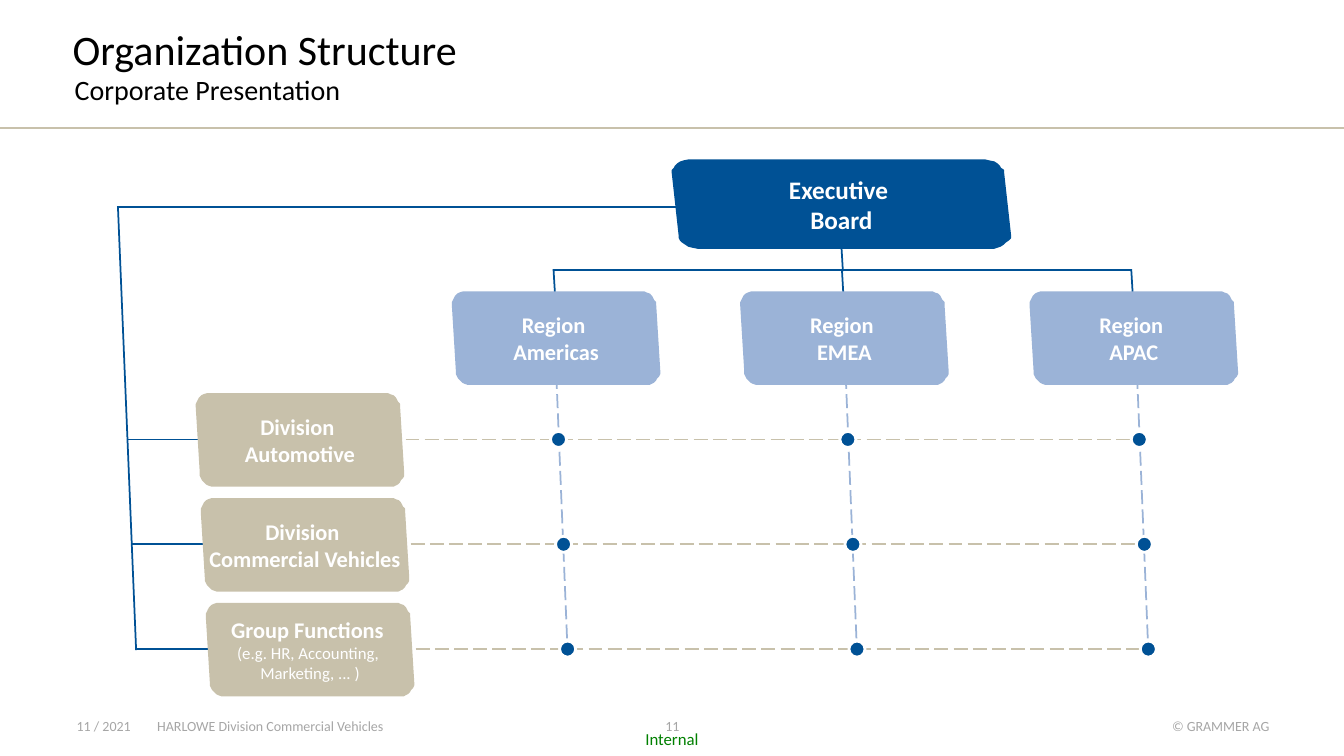
from lxml import etree
from pptx import Presentation
from pptx.dml.color import RGBColor
from pptx.enum.dml import MSO_LINE
from pptx.enum.shapes import MSO_CONNECTOR, MSO_SHAPE
from pptx.enum.text import MSO_ANCHOR, MSO_AUTO_SIZE, PP_ALIGN
from pptx.oxml.ns import qn
from pptx.util import Pt

PX = 9144
FONT = "Calibri"
BLUE = RGBColor(0x00, 0x51, 0x95)
LIGHT_BLUE = RGBColor(0x9B, 0xB3, 0xD7)
SAND = RGBColor(0xC8, 0xC1, 0xAB)
GREY = RGBColor(0xA6, 0xA6, 0xA6)
GREEN = RGBColor(0x00, 0x80, 0x00)
WHITE = RGBColor(0xFF, 0xFF, 0xFF)
BLACK = RGBColor(0x00, 0x00, 0x00)
LEFT, CENTER, RIGHT = PP_ALIGN.LEFT, PP_ALIGN.CENTER, PP_ALIGN.RIGHT
TOP, MIDDLE, BOTTOM = MSO_ANCHOR.TOP, MSO_ANCHOR.MIDDLE, MSO_ANCHOR.BOTTOM
LONG_DASH = MSO_LINE.LONG_DASH

BLOCK_W, BLOCK_H = 205, 91
BLOCK_OUTLINE = [
    (12, 0), (10, 0), (7, 1), (5, 2), (3, 4), (2, 6), (1, 8), (0, 10), (0, 13),
    (4, 78), (4, 81), (5, 83), (6, 85), (8, 87), (10, 89), (12, 90), (15, 91), (17, 91),
    (192, 91), (195, 91), (197, 90), (199, 89), (201, 87), (202, 85), (204, 83),
    (205, 81), (205, 78),
    (201, 13), (201, 10), (199, 8), (198, 6), (197, 4), (195, 2), (192, 1),
    (190, 0), (187, 0),
]
REGIONS = [("Americas", 449, 546), ("EMEA", 735, 833), ("APAC", 1022, 1122)]
REGION_TOP = 290
DIVISIONS = [
    [("Division ", 16, True), ("Automotive", 16, True)],
    [("Division ", 16, True), ("Commercial Vehicles", 16, True)],
    [("Group Functions ", 16, True), ("(e.g. HR, Accounting, ", 12, False),
     ("Marketing, ... )", 12, False)],
]
DIVISION_LEFT, DIVISION_TOP = 195, 391
DIVISION_STEP_X, DIVISION_STEP_Y = 5, 104
TRUNK_X = (127, 130, 134)
DOT_SHIFT = (0, 5, 9)
DOT = 16


def px(*values):
    return [v * PX for v in values]


def add_run(p, text, size, color, bold=False):
    r = p.add_run()
    r.text = text
    r.font.name = FONT
    r.font.size = Pt(size)
    r.font.bold = bold
    r.font.color.rgb = color


def set_text(sp, text, size, color, align, anchor, spacing=1.0):
    tf = sp.text_frame
    tf.word_wrap = True
    tf.auto_size = MSO_AUTO_SIZE.NONE
    tf.vertical_anchor = anchor
    tf.margin_left = tf.margin_top = tf.margin_right = tf.margin_bottom = 0
    p = tf.paragraphs[0]
    p.alignment = align
    p.line_spacing = spacing
    p.space_before = Pt(0)
    add_run(p, text, size, color)


def add_line(s, x1, y1, x2, y2, color, width=1.25, dash=None):
    c = s.shapes.add_connector(MSO_CONNECTOR.STRAIGHT, *px(x1, y1, x2, y2))
    c.line.color.rgb = color
    c.line.width = Pt(width)
    if dash:
        c.line.dash_style = dash
    etree.SubElement(c._element.spPr, qn("a:effectLst"))


def add_block(s, x, y, w, h, color, lines):
    pts = [(x + round(a * w / BLOCK_W), y + round(b * h / BLOCK_H)) for a, b in BLOCK_OUTLINE]
    fb = s.shapes.build_freeform(*pts[0], scale=PX)
    fb.add_line_segments(pts[1:], close=True)
    sp = fb.convert_to_shape()
    sp.shadow.inherit = False
    sp.fill.solid()
    sp.fill.fore_color.rgb = color
    sp.line.color.rgb = color
    sp.line.width = Pt(1.25)
    tf = sp.text_frame
    tf.word_wrap = False
    tf.vertical_anchor = MIDDLE
    p = tf.paragraphs[0]
    p.alignment = CENTER
    for i, (text, size, bold) in enumerate(lines):
        if i:
            p.add_line_break()
        add_run(p, text, size, WHITE, bold)


def add_dot(s, x, y):
    sp = s.shapes.add_shape(MSO_SHAPE.OVAL, *px(x, y, DOT, DOT))
    sp.shadow.inherit = False
    sp.fill.solid()
    sp.fill.fore_color.rgb = BLUE
    sp.line.color.rgb = WHITE
    sp.line.width = Pt(2)


def add_header(s, x, y, w):
    title, body = s.shapes.title, s.placeholders[1]
    title.left, title.top, title.width, title.height = px(x, y, w, 47)
    set_text(title, "Organization Structure", 30, BLACK, LEFT, BOTTOM, 0.9)
    body.left, body.top, body.width, body.height = px(x + 2, y + 49, w - 1, 27)
    pPr = body.text_frame.paragraphs[0]._p.get_or_add_pPr()
    pPr.set("marL", "0")
    pPr.set("indent", "0")
    etree.SubElement(pPr, qn("a:buNone"))
    set_text(body, "Corporate Presentation", 20, BLACK, LEFT, TOP, 0.9)
    add_line(s, 0, y + 100, 1333, y + 100, SAND, 1)


def add_footer(s, y):
    for x, dy, w, h, text, size, color, align, anchor, spacing in (
        (76, 0, 71, 16, "11 / 2021", 10, GREY, LEFT, BOTTOM, 1.0),
        (156, 0, 364, 16, "HARLOWE Division Commercial Vehicles", 10, GREY, LEFT, BOTTOM, 1.0),
        (645, 0, 44, 16, "11", 10, GREY, CENTER, BOTTOM, 1.0),
        (1158, 0, 101, 16, "© GRAMMER AG", 10, GREY, RIGHT, BOTTOM, 1.0),
        (623, 5, 87, 32, "Internal", 12, GREEN, CENTER, MIDDLE, 0.9),
    ):
        tb = s.shapes.add_textbox(*px(x, y + dy, w, h))
        set_text(tb, text, size, color, align, anchor, spacing)


def add_board(s, x, y, w, h):
    add_line(s, x + 167, y + 76, x + 169, y + 110, BLUE)
    add_line(s, 116, y + 46, x + 68, y + 46, BLUE)
    add_line(s, 117, y + 46, 135, y + 486, BLUE)
    add_line(s, REGIONS[0][1] + 100, y + 109, REGIONS[-1][1] + 100, y + 109, BLUE)
    add_block(s, x, y, w, h, BLUE, [("Executive ", 18, True), ("Board", 18, True)])


def add_matrix(s):
    rows = [(DIVISION_LEFT + i * DIVISION_STEP_X, DIVISION_TOP + i * DIVISION_STEP_Y)
            for i in range(len(DIVISIONS))]
    for name, x, dot_x in REGIONS:
        add_line(s, dot_x + 5, REGION_TOP + 63, dot_x + 17, 648, LIGHT_BLUE, dash=LONG_DASH)
        add_line(s, x + 100, REGION_TOP - 23, x + 102, REGION_TOP + 11, BLUE)
        add_block(s, x, REGION_TOP, BLOCK_W, BLOCK_H, LIGHT_BLUE,
                  [("Region ", 16, True), (name, 16, True)])
    for (x, y), trunk_x, lines in zip(rows, TRUNK_X, DIVISIONS):
        add_line(s, x + 131, y + 45, x + 937, y + 45, SAND, dash=LONG_DASH)
        add_line(s, trunk_x, y + 45, x + 163, y + 45, BLUE)
        add_block(s, x, y, BLOCK_W, BLOCK_H, SAND, lines)
    for (_, y), shift in zip(rows, DOT_SHIFT):
        for _, _, dot_x in REGIONS:
            add_dot(s, dot_x + shift, y + 45 - DOT // 2)


def main():
    prs = Presentation()
    prs.slide_width, prs.slide_height = px(1333, 750)
    s = prs.slides.add_slide(prs.slide_layouts[1])
    add_header(s, 72, 27, 1023)
    add_footer(s, 713)
    add_board(s, 667, 159, 335, 87)
    add_matrix(s)
    prs.save("out.pptx")


if __name__ == "__main__":
    main()
